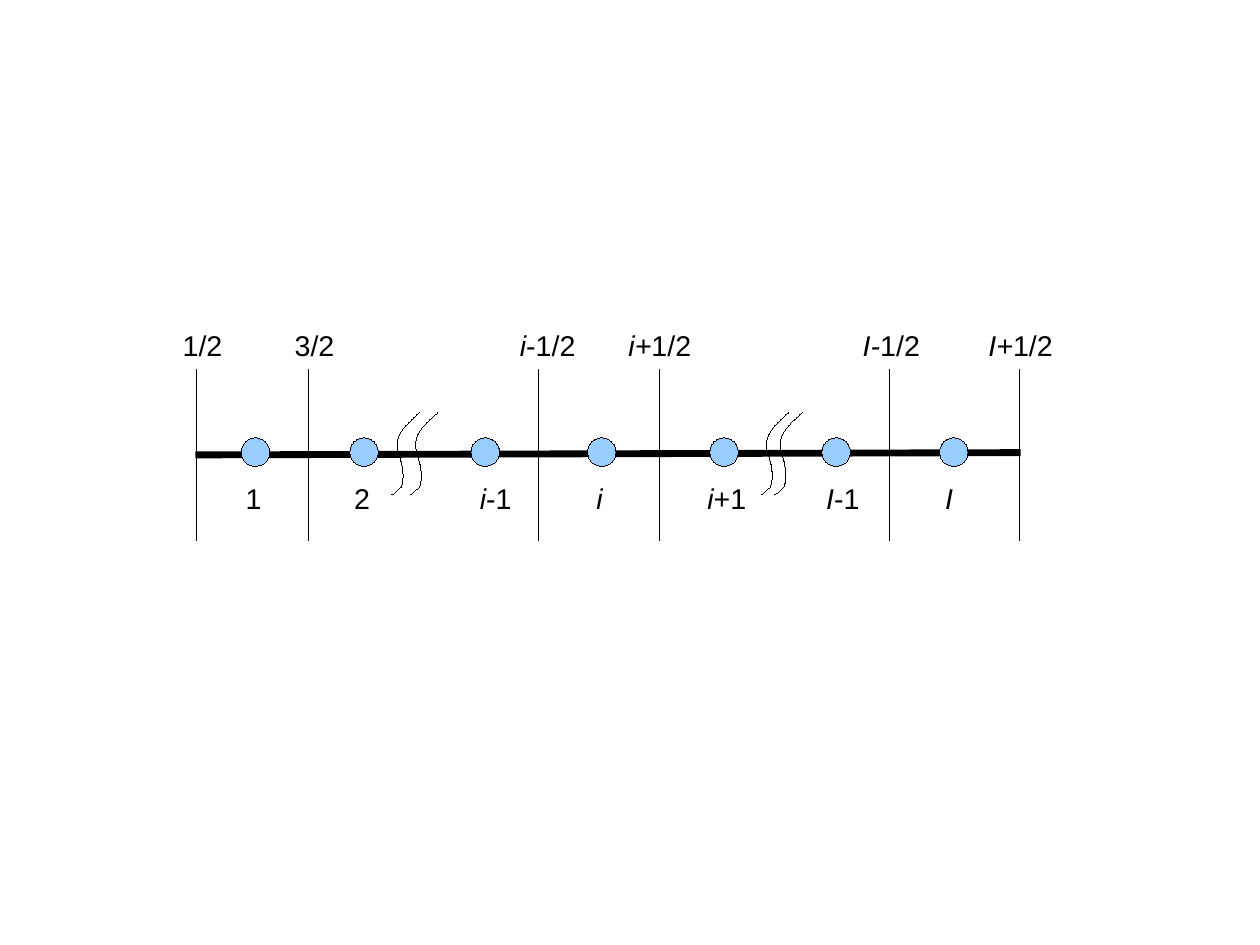
from pptx import Presentation
from pptx.dml.color import RGBColor
from pptx.enum.shapes import MSO_CONNECTOR, MSO_SHAPE
from pptx.enum.text import MSO_AUTO_SIZE
from pptx.oxml.ns import qn
from pptx.util import Cm, Emu, Inches, Pt
from lxml import etree

STRAIGHT = MSO_CONNECTOR.STRAIGHT
OVAL = MSO_SHAPE.OVAL
GROW = MSO_AUTO_SIZE.SHAPE_TO_FIT_TEXT

BLACK = RGBColor(0x00, 0x00, 0x00)
NODE_BLUE = RGBColor(0x99, 0xCC, 0xFF)
FONT = "Arial"
# A width of 0 is dropped by python-pptx, so the theme's width would apply
HAIRLINE = Emu(1)

# Rows of the diagram, in inches
FACE_LABEL_ROW, FACE_TOP, FACE_BOTTOM = 2.82, 3.23, 4.73
BREAK_TOP, NODE_ROW, NODE_LABEL_ROW = 3.61, 3.83, 4.16
NODE_SIZE = 0.25
LABEL_HEIGHT = 0.38

# Face x, label left, label width, italic part, upright part
FACES = [
    (1.72, 1.5, 0.67, "", "1/2"),
    (2.7, 2.48, 0.67, "", "3/2"),
    (4.71, 4.45, 0.8, "i", "-1/2"),
    (5.77, 5.4, 0.8, "i+", "1/2"),
    (7.78, 7.45, 0.8, "I-", "1/2"),
    (8.92, 8.55, 0.8, "I+", "1/2"),
]
# Node left, label left, label width, italic part, upright part
NODES = [
    (2.11, 2.05, 0.34, "", "1"),
    (3.06, 3.0, 0.34, "", "2"),
    (4.12, 4.1, 0.48, "i", "-1"),
    (5.14, 5.12, 0.25, "i", ""),
    (6.21, 6.09, 0.54, "i", "+1"),
    (7.19, 7.13, 0.49, "I", "-1"),
    (8.22, 8.17, 0.27, "I", ""),
]
BREAKS = [3.43, 3.59, 6.66, 6.78]
# Bezier control points of a break mark, from its top left corner
BREAK_CURVES = [
    [(0.24, 0), (0.15, 0.08), (0.02, 0.18), (0.05, 0.32)],
    [(0.05, 0.32), (0.08, 0.43), (0.12, 0.54), (0.08, 0.65)],
]
BREAK_END = (0, 0.72)
CURVE_STEPS = 12


def add_line(slide, start, end, width=HAIRLINE):
    line = slide.shapes.add_connector(
        STRAIGHT, *(Inches(value) for value in (*start, *end)))
    line.line.color.rgb = BLACK
    line.line.width = width
    etree.SubElement(line._element.spPr, qn("a:effectLst"))


def add_node(slide, left):
    node = slide.shapes.add_shape(
        OVAL, Inches(left), Inches(NODE_ROW), Inches(NODE_SIZE), Inches(NODE_SIZE))
    node.shadow.inherit = False
    node.fill.solid()
    node.fill.fore_color.rgb = NODE_BLUE
    node.line.color.rgb = BLACK
    node.line.width = HAIRLINE


def add_label(slide, italic, upright, *, left, top, width, wrap=False, size=18):
    box = slide.shapes.add_textbox(
        Inches(left), Inches(top), Inches(width), Inches(LABEL_HEIGHT))
    frame = box.text_frame
    frame.word_wrap = wrap
    frame.auto_size = GROW
    for text, slanted in ((italic, True), (upright, False)):
        if text:
            run = frame.paragraphs[0].add_run()
            run.text = text
            run.font.name = FONT
            run.font.size = Pt(size)
            run.font.italic = slanted
            run.font.color.rgb = BLACK


def bezier_point(controls, t):
    weights = ((1 - t) ** 3, 3 * t * (1 - t) ** 2, 3 * t ** 2 * (1 - t), t ** 3)
    return tuple(sum(weight * value for weight, value in zip(weights, axis))
                 for axis in zip(*controls))


def add_break(slide, left):
    """Draw one wavy stroke that marks omitted cells."""
    offsets = [bezier_point(curve, step / CURVE_STEPS)
               for curve in BREAK_CURVES for step in range(CURVE_STEPS)]
    offsets += [BREAK_CURVES[-1][-1], BREAK_END]
    points = [(Inches(left + x), Inches(BREAK_TOP + y)) for x, y in offsets]
    builder = slide.shapes.build_freeform(*points[0])
    builder.add_line_segments(points[1:], close=False)
    mark = builder.convert_to_shape()
    mark.shadow.inherit = False
    mark.fill.background()
    mark.line.color.rgb = BLACK
    mark.line.width = HAIRLINE


def main():
    presentation = Presentation()
    presentation.slide_width = Cm(28)
    presentation.slide_height = Cm(21)
    slide = presentation.slides.add_slide(presentation.slide_layouts[6])

    add_line(slide, (1.71, 3.98), (8.93, 3.96), width=Pt(4.31))
    for x, left, width, italic, upright in FACES:
        add_line(slide, (x, FACE_TOP), (x, FACE_BOTTOM))
        add_label(slide, italic, upright, left=left, top=FACE_LABEL_ROW,
                  width=width, wrap=True)
    for x, left, width, italic, upright in NODES:
        add_node(slide, x)
        add_label(slide, italic, upright, left=left, top=NODE_LABEL_ROW, width=width)
    for left in BREAKS:
        add_break(slide, left)

    presentation.save("out.pptx")


if __name__ == "__main__":
    main()
